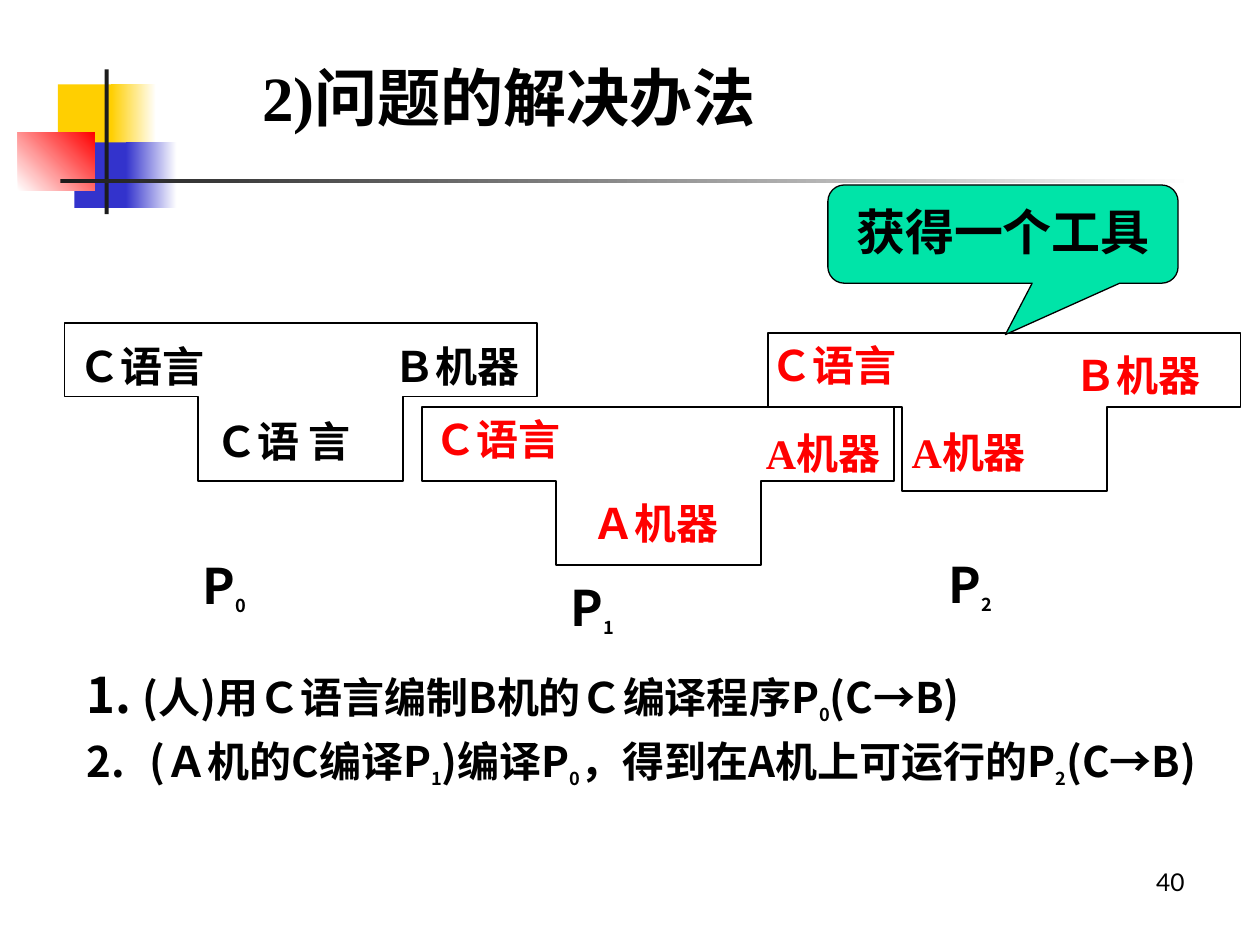
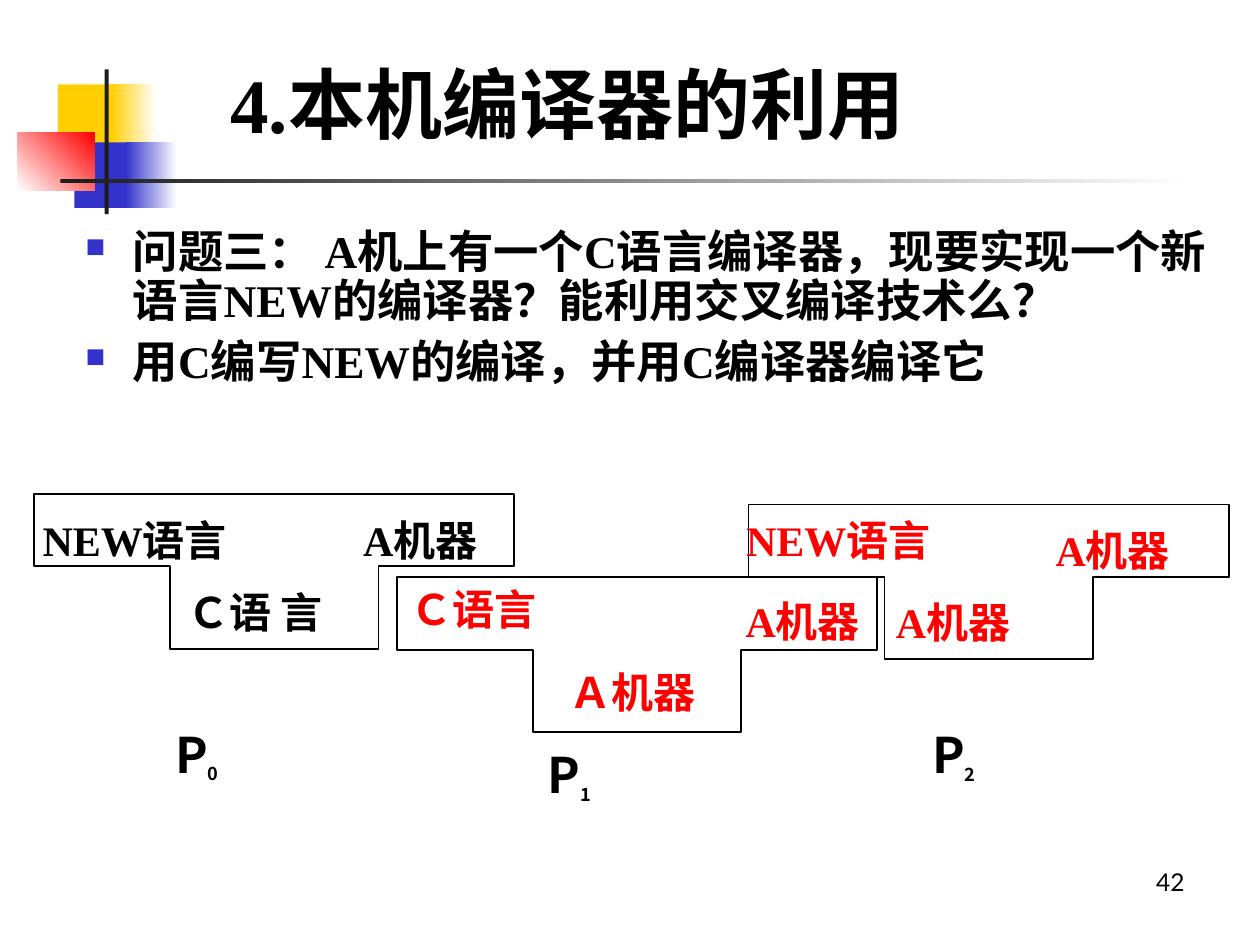
from lxml import etree
from pptx import Presentation
from pptx.dml.color import RGBColor
from pptx.enum.shapes import MSO_SHAPE
from pptx.enum.text import MSO_ANCHOR, MSO_AUTO_SIZE, PP_ALIGN
from pptx.oxml.ns import qn
from pptx.util import Cm, Pt

RECT, CALLOUT = MSO_SHAPE.RECTANGLE, MSO_SHAPE.ROUNDED_RECTANGULAR_CALLOUT
LEFT, CENTER, RIGHT = PP_ALIGN.LEFT, PP_ALIGN.CENTER, PP_ALIGN.RIGHT
TOP, MIDDLE, NO_FIT = MSO_ANCHOR.TOP, MSO_ANCHOR.MIDDLE, MSO_AUTO_SIZE.NONE
SERIF, SANS, NUMBER_FONT = "Times New Roman", "Noto Sans CJK SC", "Lato"
COLORS = {
    "black": "000000", "white": "FFFFFF", "red": "FF0000", "yellow": "FFCF01",
    "blue": "3333CC", "dark": "1C1C1C", "green": "00E4A8",
}
LABEL_WIDTH, LONG_LABEL_WIDTH = 3.5, 4.8
DECORATIONS = [
    ((1.17, 1.7, 1.22, 1.32), "yellow", None, 0),
    ((2.24, 1.7, 0.91, 1.32), "yellow", "white", 0),
    ((1.5, 2.87, 1.17, 1.32), "blue", None, 0),
    ((2.54, 2.87, 1.02, 1.32), "blue", "white", 0),
    ((0.36, 2.67, 1.55, 1.17), "white", "red", 45),
    ((2.11, 1.4, 0.08, 2.92), "dark", None, 0),
    ((1.22, 3.6, 22.86, 0.1), "dark", "white", 0),
]


def rgb(name):
    return RGBColor.from_string(COLORS[name])


def cm_box(box):
    return [Cm(v) for v in box]


def format_run(r, size, font, color="black", bold=True):
    r.font.size, r.font.name, r.font.bold = Pt(size), font, bold
    r.font.color.rgb = rgb(color)
    east_asian = etree.SubElement(r.font._element, qn("a:ea"))
    east_asian.set("typeface", SANS)


def add_runs(p, text, size, font, color="black", bold=True):
    """Each underscore turns the character after it into a subscript."""
    first, *rest = text.split("_")
    pieces = [(first, False)]
    for part in rest:
        pieces += [(part[0], True), (part[1:], False)]
    for piece, subscript in pieces:
        if piece:
            r = p.add_run()
            r.text = piece
            format_run(r, 18 if subscript else size, font, color, bold)
            if subscript:
                r.font._element.set("baseline", "-25000")


def add_text(shapes, box, wrap=True):
    tf = shapes.add_textbox(*cm_box(box)).text_frame
    tf.word_wrap = wrap
    return tf


def set_indent(p, indent):
    pPr = p._p.get_or_add_pPr()
    pPr.set("marL", str(Cm(indent)))
    pPr.set("indent", str(-Cm(indent)))
    return pPr


def add_square_bullet(pPr):
    color = etree.SubElement(pPr, qn("a:buClr"))
    etree.SubElement(color, qn("a:srgbClr")).set("val", COLORS["blue"])
    etree.SubElement(pPr, qn("a:buSzPct")).set("val", "60000")
    etree.SubElement(pPr, qn("a:buChar")).set("char", "■")


def add_number(pPr, start):
    number = etree.SubElement(pPr, qn("a:buAutoNum"))
    number.set("type", "arabicPeriod")
    number.set("startAt", str(start))


def draw_decorations(slide):
    for box, color, end_color, angle in DECORATIONS:
        sp = slide.shapes.add_shape(RECT, *cm_box(box))
        sp.shadow.inherit = False
        sp.line.fill.background()
        if end_color:
            sp.fill.gradient()
            sp.fill.gradient_angle = angle
            for stop, name in zip(sp.fill.gradient_stops, (color, end_color)):
                stop.color.rgb = rgb(name)
        else:
            sp.fill.solid()
            sp.fill.fore_color.rgb = rgb(color)


def add_base_slide(prs, title, title_box, title_size, number):
    slide = prs.slides.add_slide(prs.slide_layouts[5])
    draw_decorations(slide)
    sp = slide.shapes.title
    sp.left, sp.top, sp.width, sp.height = cm_box(title_box)
    tf = sp.text_frame
    tf.word_wrap, tf.auto_size, tf.vertical_anchor = True, NO_FIT, MIDDLE
    p = tf.paragraphs[0]
    p.alignment = LEFT
    add_runs(p, title, title_size, SERIF)
    p = add_text(slide.shapes, (18.21, 17.35, 5.92, 1.32)).paragraphs[0]
    p.alignment = RIGHT
    add_runs(p, number, 14, NUMBER_FONT, bold=False)
    return slide


def draw_t_diagram(slide, box, color, labels, name, name_offset):
    left, top, width, height = box
    group = slide.shapes.add_group_shape()
    stem_left, stem_right = left + 0.283 * width, left + 0.717 * width
    right, bar_bottom, bottom = left + width, top + 0.467 * height, top + height
    points = [
        (left, top), (left, bar_bottom), (stem_left, bar_bottom),
        (stem_left, bottom), (stem_right, bottom), (stem_right, bar_bottom),
        (right, bar_bottom), (right, top),
    ]
    start, *others = [(Cm(x), Cm(y)) for x, y in points]
    builder = group.shapes.build_freeform(*start)
    builder.add_line_segments(others, close=True)
    sp = builder.convert_to_shape()
    sp.shadow.inherit = False
    sp.fill.background()
    sp.line.color.rgb = rgb("black")
    sp.line.width = Pt(1)
    for text, dx, dy in labels:
        label_width = LONG_LABEL_WIDTH if len(text) > 4 else LABEL_WIDTH
        label_box = (left + dx, top + dy, label_width, 1.27)
        tf = add_text(group.shapes, label_box, wrap=False)
        add_runs(tf.paragraphs[0], text, 24, SERIF, color)
    dx, dy = name_offset
    p = add_text(group.shapes, (left + dx, top + dy, 3.3, 1.6)).paragraphs[0]
    p.line_spacing, p.space_before = 1.1, Pt(11.2)
    add_runs(p, name, 28, SANS)


def draw_callout(slide, box, text):
    sp = slide.shapes.add_shape(CALLOUT, *cm_box(box))
    sp.shadow.inherit = False
    for i, value in enumerate((0.007, 1.023, 0.167)):
        sp.adjustments[i] = value
    sp.fill.solid()
    sp.fill.fore_color.rgb = rgb("green")
    sp.line.color.rgb = rgb("black")
    sp.line.width = Pt(0.75)
    tf = sp.text_frame
    tf.word_wrap, tf.vertical_anchor = True, TOP
    p = tf.paragraphs[0]
    p.alignment, p.line_spacing, p.space_before = CENTER, 1.1, Pt(7)
    add_runs(p, text, 28, SANS)


def draw_steps(slide, box):
    tf = add_text(slide.shapes, box)
    first, second = tf.paragraphs[0], tf.add_paragraph()
    for p in (first, second):
        p.line_spacing = 1.2
        set_indent(p, 1.27)
    add_runs(first, "1. ", 28, SANS)
    add_runs(first, "(人)用Ｃ语言编制B机的Ｃ编译程序P_0(C→B)", 24, SANS)
    add_number(second._p.get_or_add_pPr(), 2)
    add_runs(second, "(Ａ机的C编译P_1)编译P_0，得到在A机上可运行的P_2(C→B)", 24, SANS)


def draw_bullets(slide, box, items):
    tf = add_text(slide.shapes, box)
    for i, item in enumerate(items):
        p = tf.add_paragraph() if i else tf.paragraphs[0]
        p.line_spacing, p.space_before = 0.9, Pt(7)
        add_square_bullet(set_indent(p, 0.96))
        add_runs(p, item, 25.9, SERIF)


def build_solution_slide(prs):
    slide = add_base_slide(prs, "2)问题的解决办法", (5.03, 1.12, 13.64, 1.63), 36, "40")
    draw_steps(slide, (1.5, 13.03, 23.01, 4.32))
    size = (9.52, 3.18)
    draw_t_diagram(slide, (8.51, 8.21, *size), "red",
                   [("Ｃ语言", 0, 0), ("Ａ机器", 3.18, 1.7), ("A机器", 6.68, 0.28)],
                   "P_1", (2.74, 3.18))
    draw_t_diagram(slide, (1.3, 6.51, *size), "black",
                   [("Ｃ语言", 0.03, 0.23), ("Ｃ语 言", 2.79, 1.75), ("Ｂ机器", 6.38, 0.23)],
                   "P_0", (2.54, 4.45))
    draw_t_diagram(slide, (15.49, 6.72, *size), "red",
                   [("Ｃ语言", -0.2, 0), ("A机器", 2.64, 1.75), ("Ｂ机器", 5.92, 0.2)],
                   "P_2", (3.38, 4.22))
    draw_callout(slide, (16.69, 3.73, 7.06, 1.98), "获得一个工具")


def build_native_compiler_slide(prs):
    slide = add_base_slide(prs, "4.本机编译器的利用", (4.39, 1.02, 20.45, 2.11), 44, "42")
    draw_bullets(slide, (1.47, 4.5, 23.7, 4.24), [
        "问题三： A机上有一个C语言编译器，现要实现一个新语言NEW的编译器？能利用交叉编译技术么？",
        "用C编写NEW的编译，并用C编译器编译它",
    ])
    size = (9.68, 3.12)
    draw_t_diagram(slide, (8.0, 11.64, *size), "red",
                   [("Ｃ语言", 0.03, 0), ("Ａ机器", 3.23, 1.68), ("A机器", 6.78, 0.25)],
                   "P_1", (2.79, 3.12))
    draw_t_diagram(slide, (0.69, 9.96, *size), "black",
                   [("NEW语言", -0.08, 0.28), ("Ｃ语 言", 2.84, 1.73), ("A机器", 6.38, 0.28)],
                   "P_0", (2.59, 4.39))
    draw_t_diagram(slide, (15.09, 10.17, *size), "red",
                   [("NEW语言", -0.3, 0.08), ("A机器", 2.72, 1.73), ("A机器", 5.94, 0.28)],
                   "P_2", (3.45, 4.19))


def main():
    prs = Presentation()
    prs.slide_width, prs.slide_height = Cm(25.4), Cm(19.05)
    build_solution_slide(prs)
    build_native_compiler_slide(prs)
    prs.save("out.pptx")


if __name__ == "__main__":
    main()
